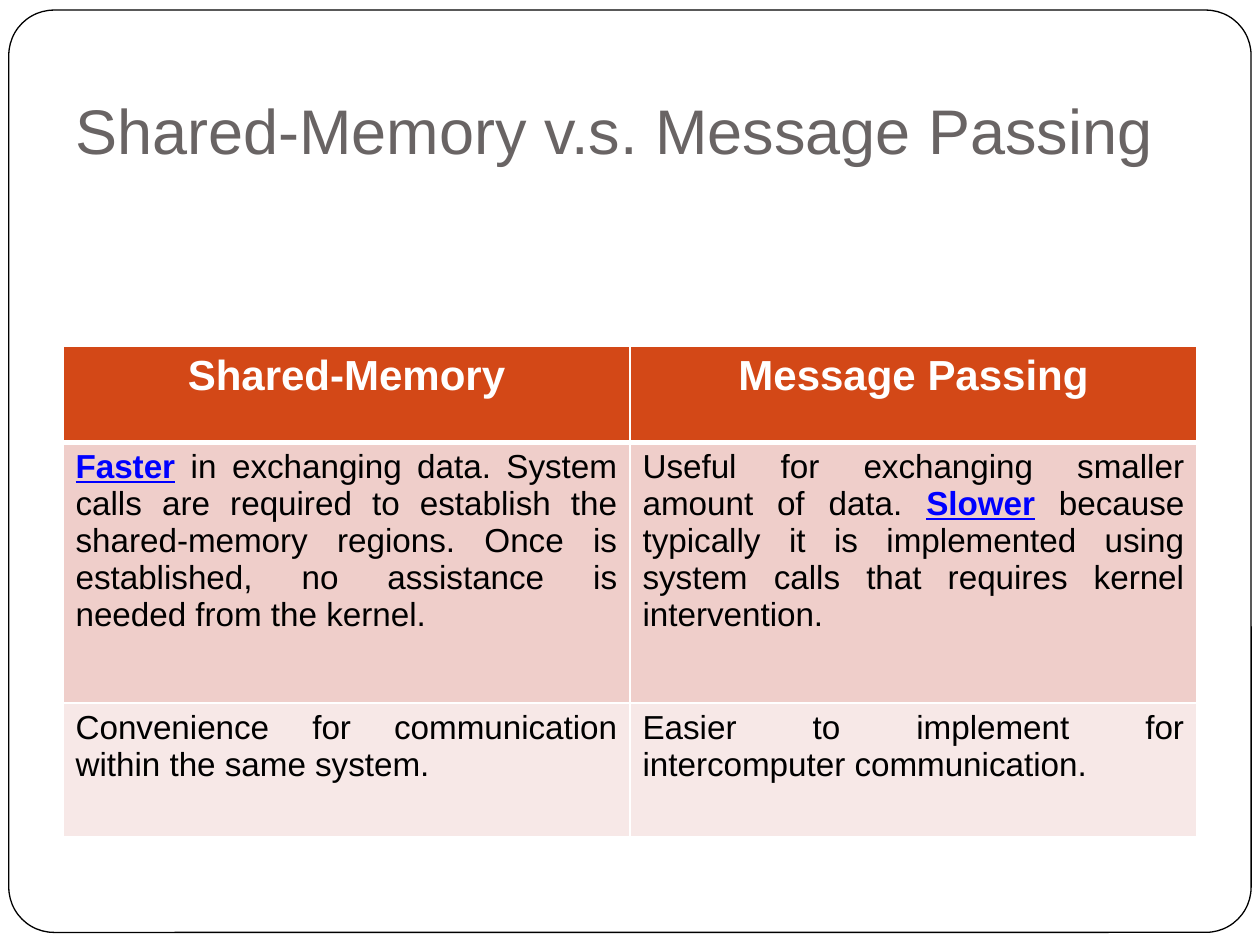
from dataclasses import dataclass

from lxml.etree import SubElement
from pptx import Presentation
from pptx.dml.color import RGBColor
from pptx.enum.shapes import MSO_SHAPE
from pptx.enum.text import MSO_ANCHOR, PP_ALIGN
from pptx.oxml.ns import qn
from pptx.util import Inches, Pt


@dataclass(frozen=True)
class Theme:
    font: str = "Arial"
    title_size: float = 36
    header_size: float = 24
    body_size: float = 19
    paper: str = "FFFFFF"
    ink: str = "000000"
    title: str = "696464"
    header: str = "D34817"
    bands: tuple = ("EFCECA", "F7E8E7")
    emphasis: str = "0000FF"
    rule: float = 1
    header_rule: float = 3


THEME = Theme()
WIDTH, HEIGHT = 10, 7.5
MARGIN = WIDTH * 0.05
CONTENT_W = WIDTH - 2 * MARGIN
TABLE_TOP = 2.75
ROW_HEIGHTS = (0.76, 2.07, 1.06)

HEADERS = ("Shared-Memory", "Message Passing")
# Each cell is a list of text pieces; emphasised words stand in EMPHASIS
EMPHASIS = ("Faster", "Slower")
BODY = (
    (
        ("Faster", " in exchanging data. System calls are required to establish "
         "the shared-memory regions. Once is established, no assistance is "
         "needed from the kernel."),
        ("Useful for exchanging smaller amount of data. ", "Slower",
         " because typically it is implemented using system calls that "
         "requires kernel intervention."),
    ),
    (
        ("Convenience for communication within the same system.",),
        ("Easier to implement for intercomputer communication.",),
    ),
)


def rgb(color):
    return RGBColor.from_string(color)


def style(font, size, color, bold=False):
    font.name, font.size, font.bold = THEME.font, Pt(size), bold
    font.color.rgb = rgb(color)


def add_frame(s):
    sp = s.shapes.add_shape(MSO_SHAPE.ROUNDED_RECTANGLE, Inches(0.07),
                            Inches(0.08), Inches(9.86), Inches(7.32))
    sp.adjustments[0] = 0.049
    sp.shadow.inherit = False
    sp.fill.solid()
    sp.fill.fore_color.rgb = rgb(THEME.paper)
    sp.line.color.rgb = rgb(THEME.ink)
    sp.line.width = Pt(0.75)


def add_title(s, text):
    sp = s.shapes.add_textbox(Inches(MARGIN), Inches(HEIGHT * 0.04),
                              Inches(CONTENT_W), Inches(HEIGHT * 0.15))
    tf = sp.text_frame
    tf.word_wrap = True
    tf.vertical_anchor = MSO_ANCHOR.BOTTOM
    tf.margin_bottom = Inches(0.1)
    p = tf.paragraphs[0]
    p.text = text
    style(p.font, THEME.title_size, THEME.title)


def set_borders(cell, **widths):
    """Draw the cell's sides (L, R, T, B) in the paper colour."""
    tc_pr = cell._tc.get_or_add_tcPr()
    for side, width in widths.items():
        ln = SubElement(tc_pr, qn(f"a:ln{side}"), w=str(Pt(width)))
        fill = SubElement(ln, qn("a:solidFill"))
        SubElement(fill, qn("a:srgbClr"), val=THEME.paper)


def fill_cell(cell, pieces, fill, align, size, color, bold=False, top=1, bottom=1):
    set_borders(cell, L=THEME.rule, R=THEME.rule, T=top, B=bottom)
    cell.fill.solid()
    cell.fill.fore_color.rgb = rgb(fill)
    p = cell.text_frame.paragraphs[0]
    p.alignment = align
    for piece in pieces:
        r = p.add_run()
        r.text = piece
        style(r.font, size, color, bold)
        if piece in EMPHASIS:
            style(r.font, size, THEME.emphasis, bold=True)
            r.font.underline = True


def add_comparison(s):
    table = s.shapes.add_table(
        len(ROW_HEIGHTS), len(HEADERS), Inches(MARGIN), Inches(TABLE_TOP),
        Inches(CONTENT_W), Inches(sum(ROW_HEIGHTS))).table
    for row, height in zip(table.rows, ROW_HEIGHTS):
        row.height = Inches(height)

    # Header row
    for col, text in enumerate(HEADERS):
        fill_cell(table.cell(0, col), (text,), THEME.header, PP_ALIGN.CENTER,
                  THEME.header_size, THEME.paper, bold=True,
                  top=THEME.rule, bottom=THEME.header_rule)

    # Body rows, one band colour each
    for row, (cells, band) in enumerate(zip(BODY, THEME.bands), start=1):
        top = THEME.header_rule if row == 1 else THEME.rule
        for col, pieces in enumerate(cells):
            fill_cell(table.cell(row, col), pieces, band, PP_ALIGN.JUSTIFY,
                      THEME.body_size, THEME.ink, top=top, bottom=THEME.rule)


def main():
    prs = Presentation()
    prs.slide_width, prs.slide_height = Inches(WIDTH), Inches(HEIGHT)
    s = prs.slides.add_slide(prs.slide_layouts[6])
    add_frame(s)
    add_title(s, "Shared-Memory v.s. Message Passing")
    add_comparison(s)
    prs.save("out.pptx")


if __name__ == "__main__":
    main()
